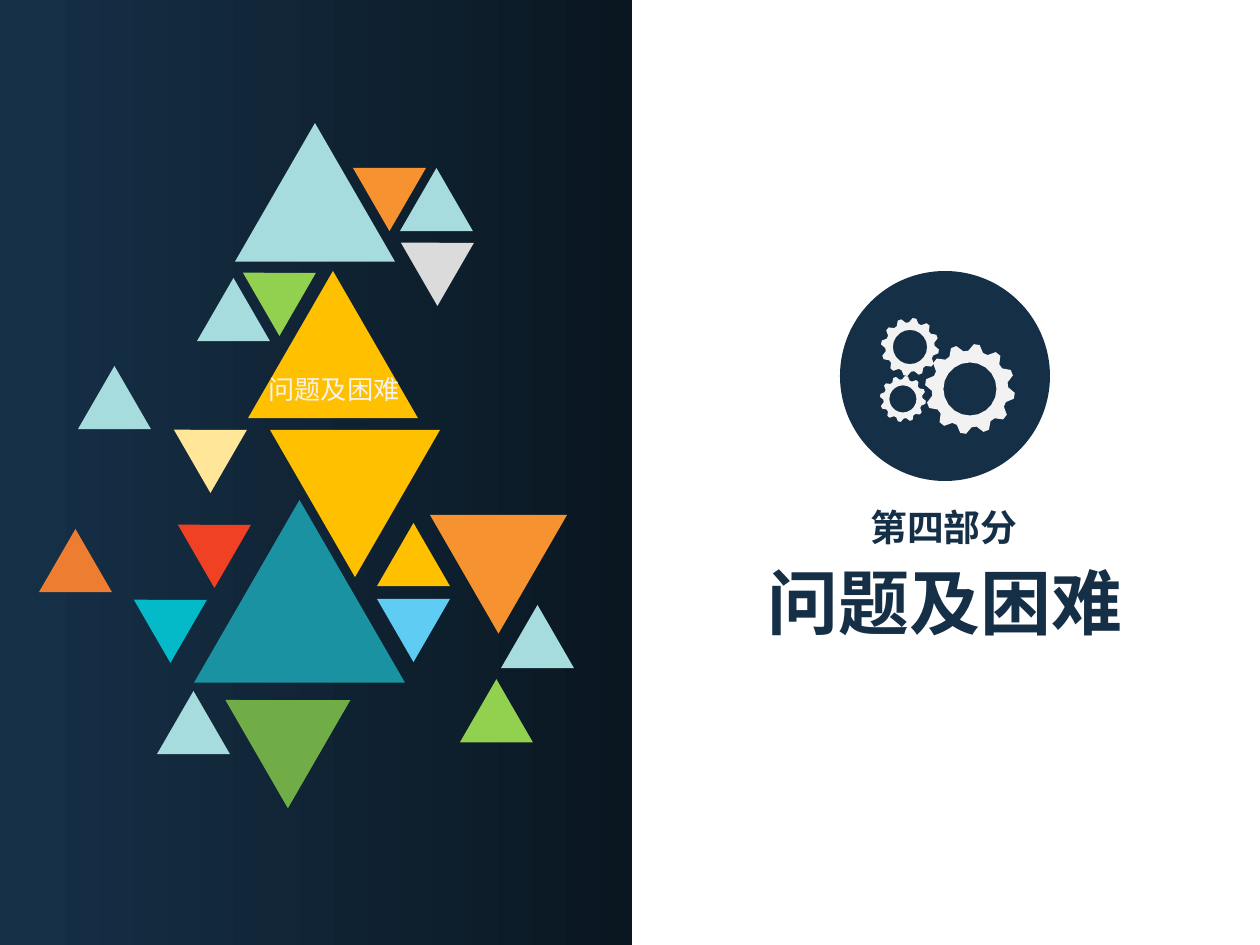
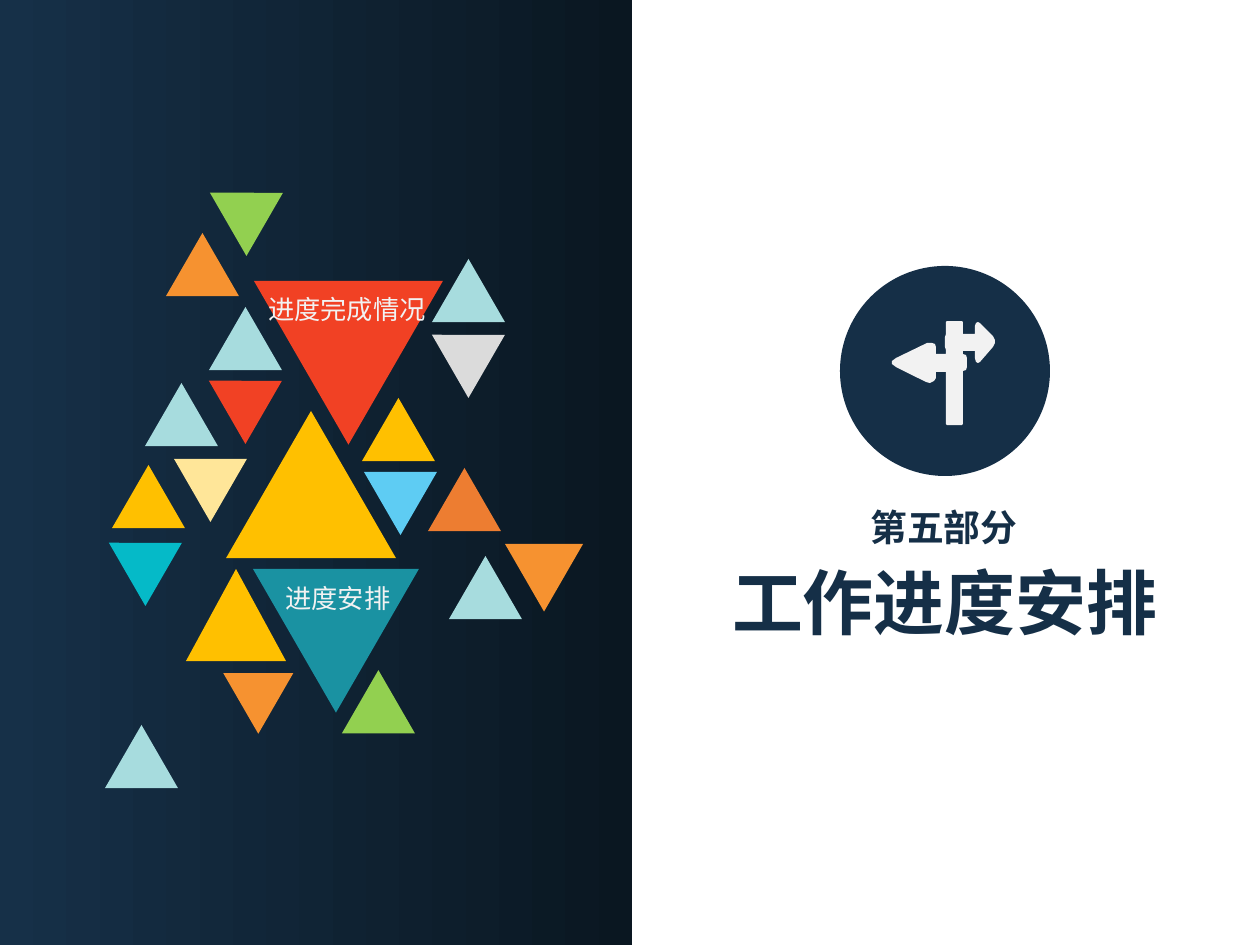
from math import cos, pi, sin

from lxml.etree import SubElement
from pptx import Presentation
from pptx.dml.color import RGBColor
from pptx.enum.shapes import MSO_SHAPE
from pptx.enum.text import MSO_AUTO_SIZE, PP_ALIGN
from pptx.oxml.ns import qn
from pptx.util import Emu, Pt

FONT = "Noto Sans CJK SC"
COLORS = {
    "navy": "152F47", "dusk": "163048", "night": "0A1721", "pale": "F2F2F2",
    "mint": "A7DCDE", "cream": "FFE699", "gold": "FFC000", "teal": "1A92A2",
    "rust": "ED7D31", "lime": "92D050", "gray": "DBDBDB", "cyan": "05BAC8",
    "amber": "F69230", "sky": "5ECCF3", "red": "F14124", "green": "70AD47",
}
PANEL = (0, 0, 632, 945)
TITLE = (632, 0, 628, 945)
SMALL = 73  # side of the common triangle
TALL = 3 ** 0.5 / 2  # height of an equal-sided triangle per unit of side

# Rotation and vertical flip of each pose
POSES = {"up": (0, False), "flip": (0, True), "turn": (60, False),
         "half": (180, False), "back": (300, True)}

# Triangles: left, top, side, colour, pose and, if not equal-sided, height
ISSUES = [
    (78, 366, SMALL, "mint", "up"), (400, 168, SMALL, "mint", "up"),
    (183, 414, SMALL, "cream", "turn"), (270, 430, 170, "gold", "flip"),
    (194, 500, 211, "teal", "up"), (157, 691, SMALL, "mint", "up"),
    (39, 529, SMALL, "rust", "up"), (197, 278, SMALL, "mint", "up"),
    (252, 257, SMALL, "lime", "turn"), (410, 227, SMALL, "gray", "turn"),
    (143, 584, SMALL, "cyan", "turn"), (430, 515, 137, "amber", "half"),
    (377, 523, SMALL, "gold", "up"), (377, 599, SMALL, "sky", "flip"),
    (187, 509, SMALL, "red", "turn"), (241, 673, 125, "green", "turn"),
    (501, 605, SMALL, "mint", "up"), (248, 271, 170, "gold", "up"),
    (469, 695, SMALL, "lime", "back"), (235, 123, 160, "mint", "up"),
    (353, 168, SMALL, "amber", "flip"),
]
PLANS = [
    (145, 383, SMALL, "mint", "up"), (432, 259, SMALL, "mint", "up"),
    (183, 443, SMALL, "cream", "turn"), (226, 411, 170, "gold", "up"),
    (253, 569, 166, "teal", "flip"), (105, 725, SMALL, "mint", "up"),
    (428, 468, SMALL, "rust", "up"), (166, 233, SMALL, "amber", "up"),
    (209, 307, SMALL, "mint", "up"), (219, 177, SMALL, "lime", "turn"),
    (441, 319, SMALL, "gray", "turn"), (118, 527, SMALL, "cyan", "turn"),
    (505, 544, 78, "amber", "half"), (362, 398, SMALL, "gold", "up"),
    (364, 472, SMALL, "sky", "flip"), (218, 365, SMALL, "red", "turn"),
    (232, 658, 70, "amber", "turn"), (449, 556, SMALL, "mint", "up"),
    (254, 281, 189, "red", "flip"), (351, 686, SMALL, "lime", "back"),
    (112, 465, SMALL, "gold", "up"), (186, 569, 100, "gold", "up", 92),
]

# Signpost outline, relative to its disc
SIGN = [
    (153, 70), (140, 57), (138, 56), (136, 57), (135, 60), (135, 68),
    (123, 68), (123, 56), (122, 55), (107, 55), (106, 56), (106, 68),
    (105, 71), (105, 81), (106, 84), (106, 88), (96, 88), (96, 81),
    (95, 78), (92, 77), (87, 77), (56, 92), (52, 95), (52, 98), (56, 101),
    (86, 116), (90, 117), (94, 115), (96, 112), (96, 106), (106, 106),
    (106, 158), (107, 159), (122, 159), (123, 158), (123, 105), (126, 104),
    (127, 101), (127, 92), (126, 89), (123, 88), (123, 85), (135, 85),
    (135, 92), (136, 96), (138, 97), (140, 96), (153, 81), (155, 77),
    (155, 74),
]
# Gears: centre and outer radius, relative to their disc
GEARS = [(130, 118, 45), (70, 76, 29), (63, 128, 23)]


def px(value):
    return Emu(round(value * 914400 / 126))


def color(name):
    return RGBColor.from_string(COLORS[name])


def paint(shape, name):
    shape.shadow.inherit = False
    shape.line.fill.background()
    shape.fill.solid()
    shape.fill.fore_color.rgb = color(name)


def add_shape(shapes, kind, box, name):
    shape = shapes.add_shape(kind, *map(px, box))
    paint(shape, name)
    return shape


def add_text(shapes, box, text, size, name, bold=False, align=PP_ALIGN.CENTER):
    frame = shapes.add_textbox(*map(px, box)).text_frame
    frame.word_wrap = False
    frame.auto_size = MSO_AUTO_SIZE.SHAPE_TO_FIT_TEXT
    para = frame.paragraphs[0]
    para.alignment = align
    run = para.add_run()
    run.text = text
    font = run.font
    font.name, font.size, font.bold = FONT, Pt(size), bold
    font.color.rgb = color(name)
    SubElement(run._r.get_or_add_rPr(), qn("a:ea"), typeface=FONT)


def add_outline(shapes, left, top, loops, name):
    pen = None
    for loop in loops:
        pts = [(px(left + x), px(top + y)) for x, y in loop]
        if pen is None:
            pen = shapes.build_freeform(*pts[0], scale=1.0)
        else:
            pen.move_to(*pts[0])
        pen.add_line_segments(pts[1:], close=True)
    paint(pen.convert_to_shape(), name)


def ring(x, y, reaches, start, step):
    """Points around a centre, one for each reach."""
    turns = [start + step * i for i in range(len(reaches))]
    return [(x + r * cos(t), y + r * sin(t)) for r, t in zip(reaches, turns)]


def draw_gears(shapes, left, top):
    for x, y, size in GEARS:
        # Twelve teeth of four points, then the hole drawn the other way
        rim = ring(x, y, [size, size, size * 0.85, size * 0.85] * 12,
                   5 * pi / 180, pi / 24)
        hole = ring(x, y, [size * 0.59] * 20, 0, -pi / 10)
        add_outline(shapes, left, top, (rim, hole), "pale")


def draw_sign(shapes, left, top):
    add_outline(shapes, left, top, [SIGN], "pale")


def draw_band(layout, slide, box):
    """Dark band, made once and kept on the shared layout."""
    band = add_shape(slide.shapes, MSO_SHAPE.RECTANGLE, box, "dusk")
    band.fill.gradient()
    band.fill.gradient_angle = 0
    for stop, name, place in zip(band.fill.gradient_stops, ("dusk", "night"), (0, 1)):
        stop.color.rgb = color(name)
        stop.position = place
    band._element.nvSpPr.cNvPr.set("id", "90")
    layout.shapes._spTree.append(band._element)


def draw_panel(slide, box, tiles, labels):
    left, top = box[:2]
    # Triangles
    for x, y, side, name, pose, *high in tiles:
        height = high[0] if high else side * TALL
        tri = add_shape(slide.shapes, MSO_SHAPE.ISOSCELES_TRIANGLE,
                        (left + x, top + y, side, height), name)
        tri.rotation, flip = POSES[pose]
        if flip:
            tri._element.spPr.get_or_add_xfrm().set("flipV", "1")
    # Labels
    for x, y, width, text, align in labels:
        add_text(slide.shapes, (left + x, top + y, width, 44), text, 15, "pale",
                 align=align)


def draw_title(slide, box, part, title, wide, icon, drop):
    left, top = box[:2]
    mid = left + 313
    # Heading and part number
    add_text(slide.shapes, (mid - wide // 2, top + 552, wide, 98), title, 40.5,
             "navy", True)
    add_text(slide.shapes, (mid - 87, top + 499, 172, 57), part, 21, "navy", True)
    # Icon on its disc
    group = slide.shapes.add_group_shape().shapes
    disc = 210
    x, y = mid - disc // 2, top + drop
    add_shape(group, MSO_SHAPE.OVAL, (x, y, disc, disc), "navy")
    icon(group, x, y)


def main():
    deck = Presentation()
    deck.slide_width, deck.slide_height = px(1260), px(945)
    layout = deck.slide_layouts[6]
    pages = [
        (ISSUES, [(256, 367, 157, "问题及困难", PP_ALIGN.LEFT)],
         "第四部分", "问题及困难", 382, draw_gears, 271),
        (PLANS, [(255, 287, 184, "进度完成情况", PP_ALIGN.CENTER),
                 (273, 576, 131, "进度安排", PP_ALIGN.LEFT)],
         "第五部分", "工作进度安排", 454, draw_sign, 266),
    ]
    for count, (tiles, labels, *heading) in enumerate(pages):
        slide = deck.slides.add_slide(layout)
        if count == 0:
            draw_band(layout, slide, PANEL)
        draw_title(slide, TITLE, *heading)
        draw_panel(slide, PANEL, tiles, labels)
    deck.save("out.pptx")


if __name__ == "__main__":
    main()
